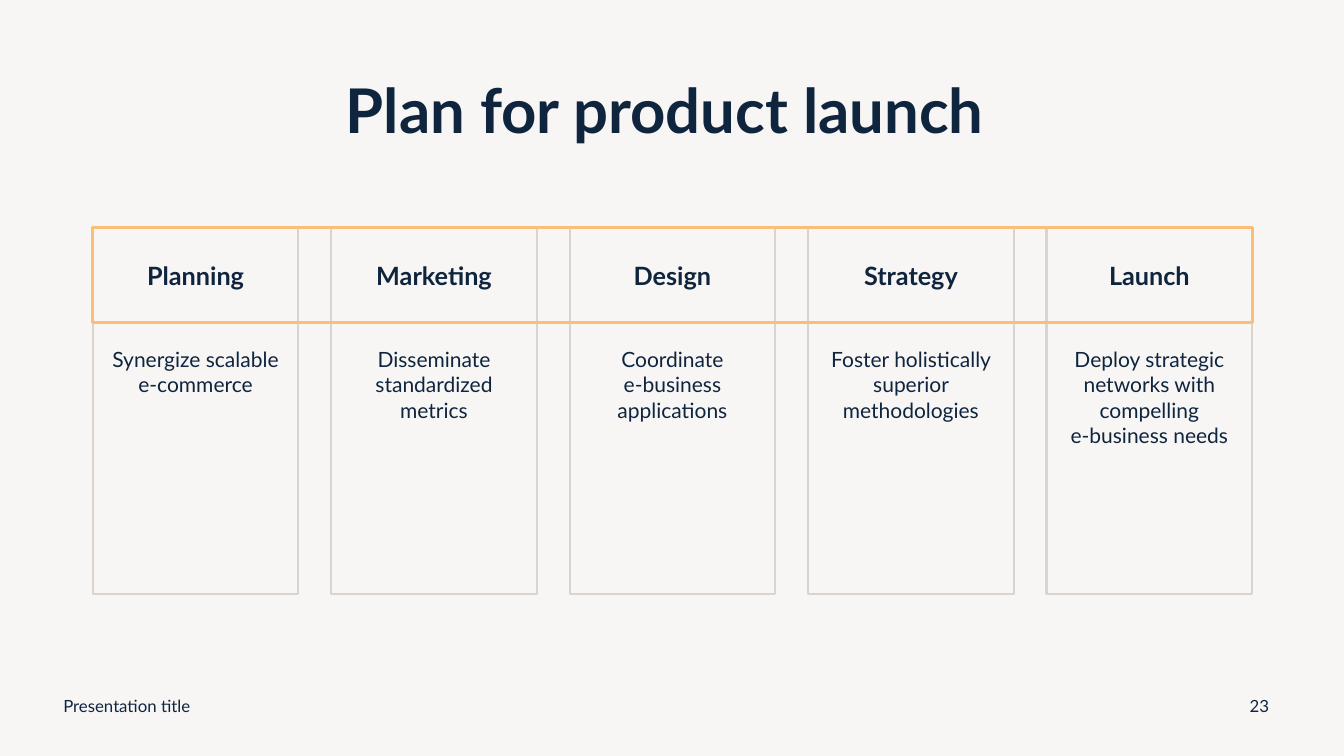
from pptx import Presentation
from pptx import util as u
from pptx.dml.color import RGBColor
from pptx.enum import shapes, text

THEME = {
    "font": "Lato",
    "ink": RGBColor.from_string("0F253E"),
    "paper": RGBColor.from_string("F8F6F5"),
    "rule": RGBColor.from_string("DCD3CC"),
    "accent": RGBColor.from_string("FABE79"),
    "title_size": 44,
    "phase_size": 18,
    "task_size": 15,
    "footer_size": 12,
}
MIDDLE, TOP = text.MSO_ANCHOR.MIDDLE, text.MSO_ANCHOR.TOP
CENTER, LEFT = text.PP_ALIGN.CENTER, text.PP_ALIGN.LEFT

WIDTH, HEIGHT = 13.33, 7.5
MARGIN, COLUMN = 0.92, 2.04
CONTENT = 11.5
HEAD_TOP, HEAD_HEIGHT, TASK_HEIGHT = 2.26, 0.94, 2.69
FOOTER_TOP, FOOTER_HEIGHT = 6.8, 0.4

PHASES = [
    ("Planning", ["Synergize scalable", "e-commerce"]),
    ("Marketing", ["Disseminate standardized metrics"]),
    ("Design", ["Coordinate", "e-business applications"]),
    ("Strategy", ["Foster holistically superior methodologies"]),
    ("Launch", ["Deploy strategic networks with compelling", "e-business needs"]),
]


def write(holder, lines, size, bold=False, align=CENTER, anchor=MIDDLE, inset_top=0.05):
    frame = holder.text_frame
    frame_format = {
        "word_wrap": True,
        "auto_size": text.MSO_AUTO_SIZE.NONE,
        "vertical_anchor": anchor,
        "margin_left": u.Inches(0.1),
        "margin_right": u.Inches(0.1),
        "margin_top": u.Inches(inset_top),
        "margin_bottom": u.Inches(0.05),
    }
    for key, value in frame_format.items():
        setattr(frame, key, value)
    frame.text = "\n".join(lines)
    font_format = {"name": THEME["font"], "size": u.Pt(size), "bold": bold}
    for paragraph in frame.paragraphs:
        paragraph.alignment = align
        for run in paragraph.runs:
            for key, value in font_format.items():
                setattr(run.font, key, value)
            run.font.color.rgb = THEME["ink"]


def outline(left, top, width, height, color, weight):
    """Add an unfilled rectangle, measured in inches."""
    box = slide.shapes.add_shape(
        shapes.MSO_SHAPE.RECTANGLE, *map(u.Inches, (left, top, width, height)))
    box.shadow.inherit = False
    box.fill.background()
    box.line.color.rgb = color
    box.line.width = u.Pt(weight)
    return box


deck = Presentation()
deck.slide_width, deck.slide_height = u.Inches(WIDTH), u.Inches(HEIGHT)
slide = deck.slides.add_slide(deck.slide_layouts[5])
slide.background.fill.solid()
slide.background.fill.fore_color.rgb = THEME["paper"]

title = slide.shapes.title
title_place = {"left": MARGIN, "top": 0.4, "width": CONTENT, "height": 1.45}
for key, value in title_place.items():
    setattr(title, key, u.Inches(value))
write(title, ["Plan for product launch "], THEME["title_size"], bold=True)
title.text_frame.paragraphs[0].line_spacing = 0.9

pitch = (CONTENT - COLUMN) / (len(PHASES) - 1)
for index, (phase, tasks) in enumerate(PHASES):
    left = MARGIN + index * pitch
    heading = outline(left, HEAD_TOP, COLUMN, HEAD_HEIGHT, THEME["rule"], 1.5)
    write(heading, [phase], THEME["phase_size"], bold=True)
    details = outline(left, HEAD_TOP + HEAD_HEIGHT, COLUMN, TASK_HEIGHT, THEME["rule"], 1.5)
    write(details, tasks, THEME["task_size"], anchor=TOP, inset_top=0.24)

outline(MARGIN, HEAD_TOP, CONTENT, HEAD_HEIGHT, THEME["accent"], 2.25)

for label, left, width, align in [
    ("Presentation title", 0.53, 4.5, LEFT),
    ("23", 12.24, 0.5, CENTER),
]:
    footer = slide.shapes.add_textbox(
        *map(u.Inches, (left, FOOTER_TOP, width, FOOTER_HEIGHT)))
    write(footer, [label], THEME["footer_size"], align=align)

deck.save("out.pptx")
